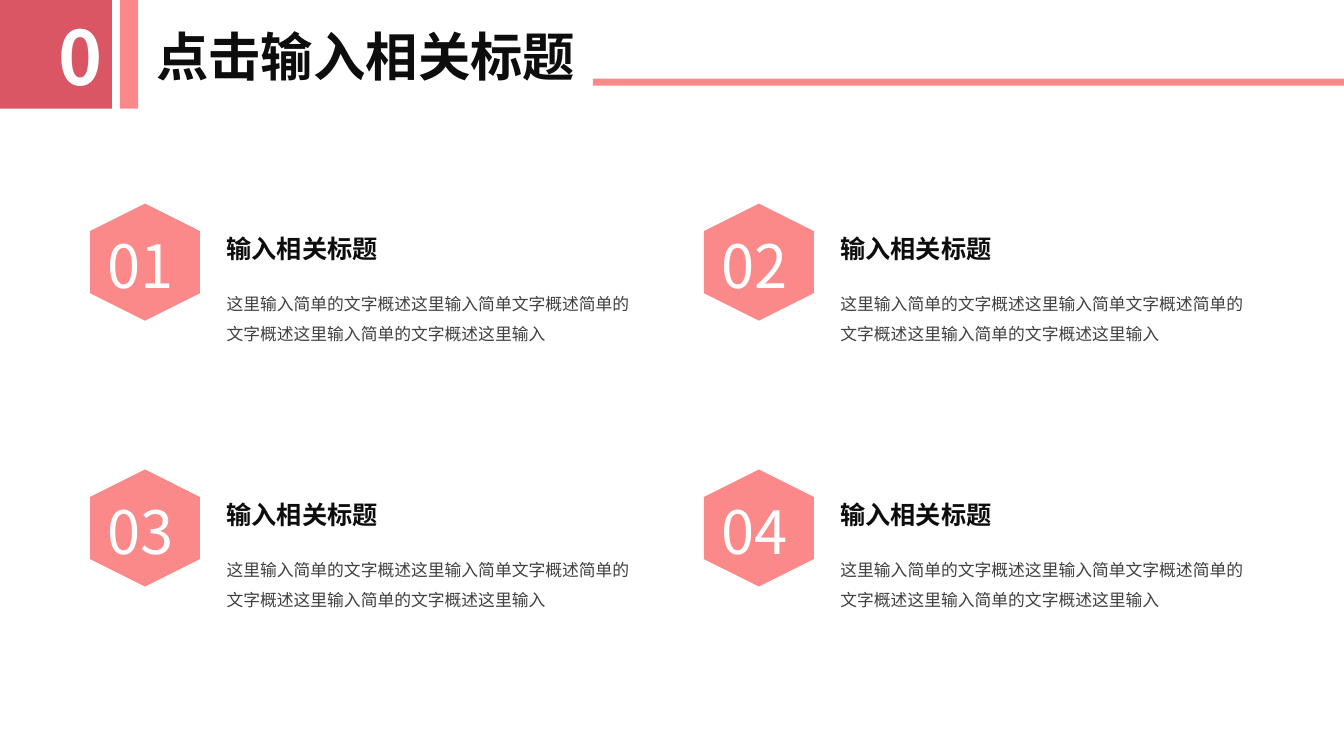
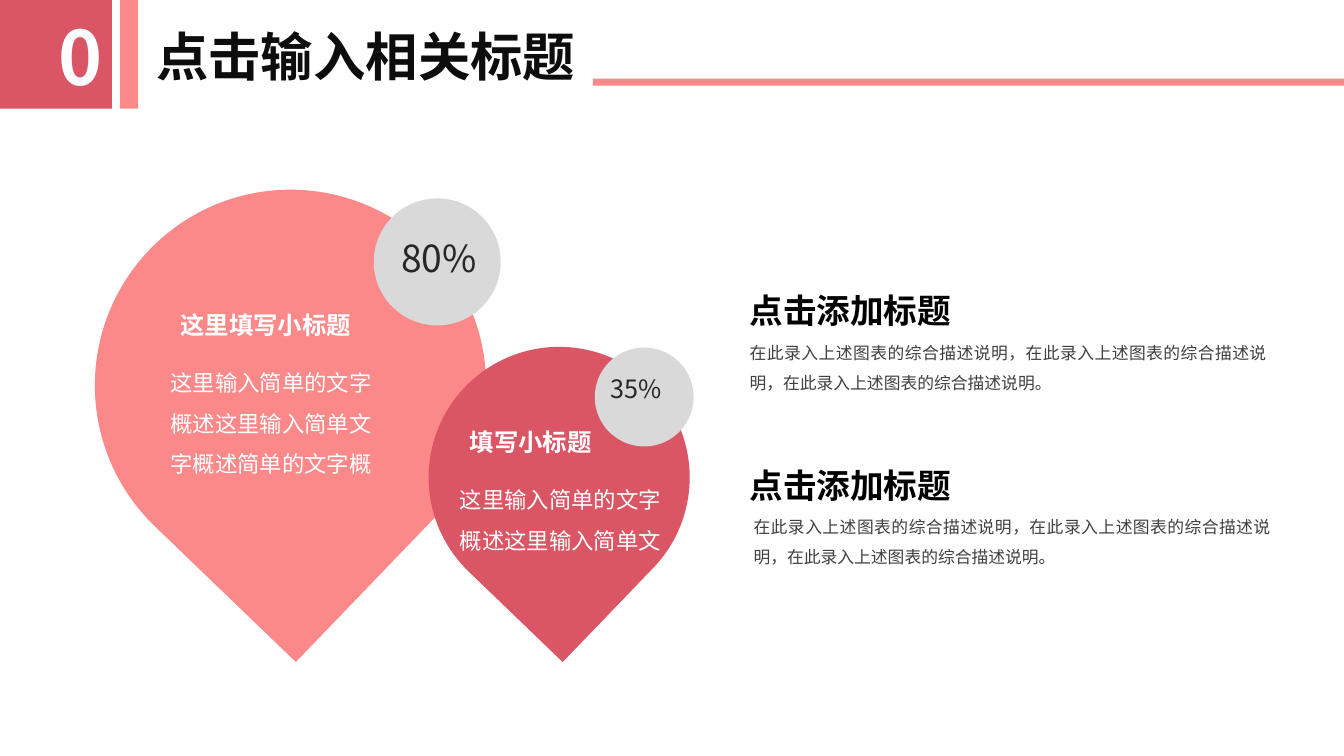
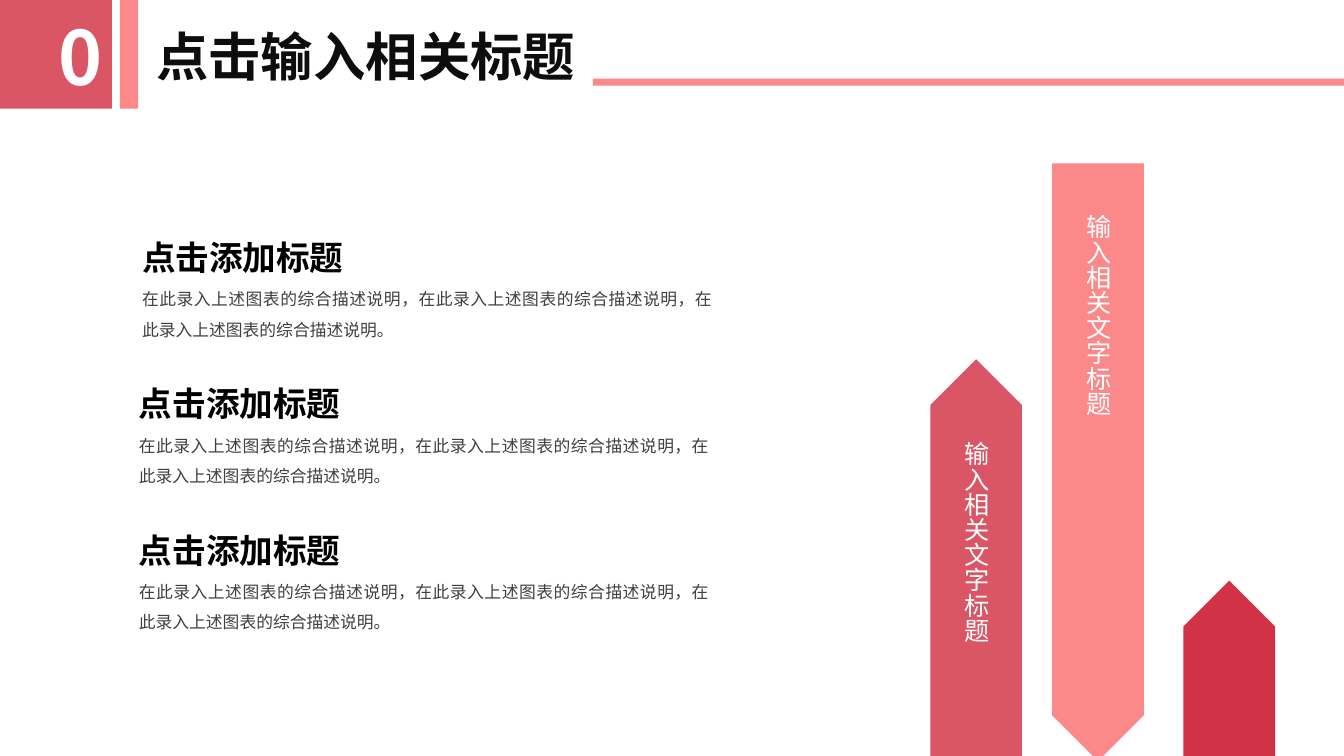
"""Build three red-themed slides: a numbered grid, two drops and three arrows."""
from dataclasses import dataclass
from typing import Any

from lxml import etree
from pptx import Presentation
from pptx import util as u
from pptx.dml import color
from pptx.enum import shapes as kinds, text
from pptx.oxml import ns

FONT = "Noto Sans CJK SC"
PINK, ROSE, RED = "FB8989", "DA5665", "D23245"
WHITE, BLACK, INK, DARK, GRAY, PALE = "FFFFFF", "000000", "0D0D0D", "262626", "404040", "D9D9D9"
KIND = kinds.MSO_SHAPE
ALIGN = text.PP_ALIGN


@dataclass(frozen=True)
class Box:
    left: float
    top: float
    width: float
    height: float

    def lengths(self) -> list[u.Length]:
        return [u.Cm(value) for value in (self.left, self.top, self.width, self.height)]


@dataclass(frozen=True)
class Style:
    size: float
    color: str
    bold: bool = False
    align: Any = ALIGN.LEFT
    spacing: Any = 1.0
    wrap: bool = True
    anchor: Any = text.MSO_ANCHOR.TOP
    inset: tuple[float, float] = (0.25, 0.13)
    grow: bool = True
    vertical: bool = False


@dataclass(frozen=True)
class Drop:
    box: Box
    fill: str
    badge: Box
    percent: str
    percent_box: Box
    percent_size: float
    heading: str
    heading_at: tuple[float, float]
    lines: tuple[str, ...]


@dataclass(frozen=True)
class Arrow:
    center: float
    top: float
    length: float
    rotation: int
    fill: str
    label_drop: float = 0
    label: str = ""


NUMBER = Style(53.4, WHITE, bold=True, align=ALIGN.RIGHT, wrap=False)
TITLE = Style(37.4, INK, bold=True, anchor=text.MSO_ANCHOR.MIDDLE, inset=(0.33, 0.18), grow=False)
HEXAGON_NUMBER = Style(42.6, WHITE, wrap=False)
ITEM_HEADING = Style(18, INK, bold=True)
ITEM_BODY = Style(12, GRAY, spacing=1.5)
SECTION_HEADING = Style(24, BLACK, bold=True, spacing=1.5)
SECTION_BODY = Style(12, GRAY, align=ALIGN.JUSTIFY, spacing=1.5)
DROP_HEADING = Style(17.4, WHITE, bold=True, align=ALIGN.JUSTIFY, spacing=u.Pt(21.4), inset=(0.46, 0.23))
DROP_BODY = Style(16, WHITE, spacing=1.5, inset=(0.46, 0.23))
ARROW_LABEL = Style(18, WHITE, wrap=False, vertical=True)

ITEM_TEXT = "这里输入简单的文字概述这里输入简单文字概述简单的文字概述这里输入简单的文字概述这里输入"
SECTION_TEXT = "在此录入上述图表的综合描述说明，" * 2 + "在此录入上述图表的综合描述说明。"
ARROW_TEXT = "输入相关文字标题"
ARROW_WIDTH = 2.31

DROPS = (
    Drop(Box(2.39, 4.78, 9.86, 9.86), PINK, Box(9.42, 5, 3.2, 3.2), "80%",
         Box(9.86, 5.79, 2.41, 1.4), 26.6, "这里填写小标题", (4.09, 7.57),
         ("这里输入简单的文字", "概述这里输入简单文", "字概述简单的文字概")),
    Drop(Box(10.8, 8.74, 6.58, 6.58), ROSE, Box(14.99, 8.76, 2.49, 2.49), "35%",
         Box(15.14, 9.27, 1.8, 1.02), 18, "填写小标题", (11.38, 10.52),
         ("这里输入简单的文字", "概述这里输入简单文")),
)
ARROWS = (
    Arrow(30.98, 14.63, 4.5, 270, RED),
    Arrow(27.67, 4.12, 15.06, 90, PINK, 1.16, ARROW_TEXT),
    Arrow(24.6, 9.05, 10.08, 270, ROSE, 1.95, ARROW_TEXT),
)


def rgb(value: str) -> color.RGBColor:
    return color.RGBColor.from_string(value)


def set_all(target: Any, values: dict[str, Any]) -> None:
    for name, value in values.items():
        setattr(target, name, value)


def add_block(shapes: Any, kind: Any, box: Box, fill: str, rotation: float = 0) -> None:
    shape = shapes.add_shape(kind, *box.lengths())
    shape.shadow.inherit = False
    shape.fill.solid()
    shape.fill.fore_color.rgb = rgb(fill)
    shape.line.fill.background()
    shape.rotation = rotation


def add_text(shapes: Any, box: Box, style: Style, *lines: str) -> None:
    frame = shapes.add_textbox(*box.lengths()).text_frame
    side, edge = (u.Cm(value) for value in style.inset)
    fit = text.MSO_AUTO_SIZE.SHAPE_TO_FIT_TEXT if style.grow else text.MSO_AUTO_SIZE.NONE
    set_all(frame, {
        "word_wrap": style.wrap, "auto_size": fit, "vertical_anchor": style.anchor,
        "margin_left": side, "margin_right": side, "margin_top": edge, "margin_bottom": edge,
    })
    if style.vertical:
        frame._txBody.bodyPr.set("vert", "eaVert")
    for index, line in enumerate(lines):
        paragraph = frame.add_paragraph() if index else frame.paragraphs[0]
        set_all(paragraph, {"alignment": style.align, "line_spacing": style.spacing})
        run = paragraph.add_run()
        run.text = line
        set_all(run.font, {"name": FONT, "size": u.Pt(style.size), "bold": style.bold})
        run.font.color.rgb = rgb(style.color)
        etree.SubElement(run._r.get_or_add_rPr(), ns.qn("a:ea"), typeface=FONT)


def add_header(slide: Any, number: str) -> None:
    shapes = slide.shapes.add_group_shape().shapes
    add_block(shapes, KIND.RECTANGLE, Box(0, 0, 2.82, 2.74), ROSE)
    add_block(shapes, KIND.RECTANGLE, Box(3.02, 0, 0.46, 2.74), PINK)
    add_text(shapes, Box(0.15, 0.13, 2.69, 2.54), NUMBER, number)
    add_text(shapes, Box(3.61, 0.61, 15.49, 1.6), TITLE, "点击输入相关标题")
    add_block(shapes, KIND.RECTANGLE, Box(14.94, 1.98, 18.93, 0.18), PINK)


def add_section(shapes: Any, left: float, top: float, width: float, shift: float = 0) -> None:
    add_text(shapes, Box(left, top, 6.68, 1.57), SECTION_HEADING, "点击添加标题")
    add_text(shapes, Box(left + shift, top + 1.57, width, 1.68), SECTION_BODY, SECTION_TEXT)


def add_item(shapes: Any, index: int) -> None:
    row, column = divmod(index, 2)
    left, top = 2.18 + 15.47 * column, 5.22 + 6.7 * row
    add_block(shapes, KIND.HEXAGON, Box(left, top, 2.95, 2.77), PINK, 270)
    add_text(shapes, Box(left + 0.28, top + 0.42, 2.29, 2.08), HEXAGON_NUMBER, f"{index + 1:02}")
    add_text(shapes, Box(left + 3.28, top + 0.52, 7.49, 1.02), ITEM_HEADING, "输入相关标题")
    add_text(shapes, Box(left + 3.28, top + 1.8, 10.92, 1.68), ITEM_BODY, ITEM_TEXT)


def add_drop(shapes: Any, drop: Drop) -> None:
    left, top = drop.heading_at
    add_block(shapes, KIND.TEAR, drop.box, drop.fill, 133.9)
    add_block(shapes, KIND.OVAL, drop.badge, PALE)
    add_text(shapes, drop.percent_box, Style(drop.percent_size, DARK, wrap=False), drop.percent)
    add_text(shapes, Box(left, top, 5.33, 1.14), DROP_HEADING, drop.heading)
    body = Box(left - 0.25, top + 1.17, 6.38, 0.4 + len(drop.lines))
    add_text(shapes, body, DROP_BODY, *drop.lines)


def add_arrow(shapes: Any, arrow: Arrow) -> None:
    left = arrow.center - arrow.length / 2
    top = arrow.top + (arrow.length - ARROW_WIDTH) / 2
    add_block(shapes, KIND.PENTAGON, Box(left, top, arrow.length, ARROW_WIDTH), arrow.fill, arrow.rotation)
    if arrow.label:
        label_box = Box(arrow.center - 0.63, arrow.top + arrow.label_drop, 1.27, 5.38)
        add_text(shapes, label_box, ARROW_LABEL, arrow.label)


def fill_grid(shapes: Any) -> None:
    for index in range(4):
        add_item(shapes, index)


def fill_drops(shapes: Any) -> None:
    for drop in DROPS:
        add_drop(shapes, drop)
    add_section(shapes, 18.64, 6.68, 13.54)
    add_section(shapes, 18.64, 11.07, 13.54, 0.1)


def fill_arrows(shapes: Any) -> None:
    for arrow in ARROWS:
        add_arrow(shapes, arrow)
    for row, left in enumerate((3.33, 3.25, 3.25)):
        add_section(shapes, left, 5.33 + 3.69 * row, 14.88)


def main() -> None:
    presentation = Presentation()
    set_all(presentation, {"slide_width": u.Cm(33.87), "slide_height": u.Cm(19.05)})
    for number, fill_slide in enumerate((fill_grid, fill_drops, fill_arrows), 1):
        slide = presentation.slides.add_slide(presentation.slide_layouts[6])
        fill_slide(slide.shapes)
        add_header(slide, f"{number:02}")
    presentation.save("out.pptx")


if __name__ == "__main__":
    main()
